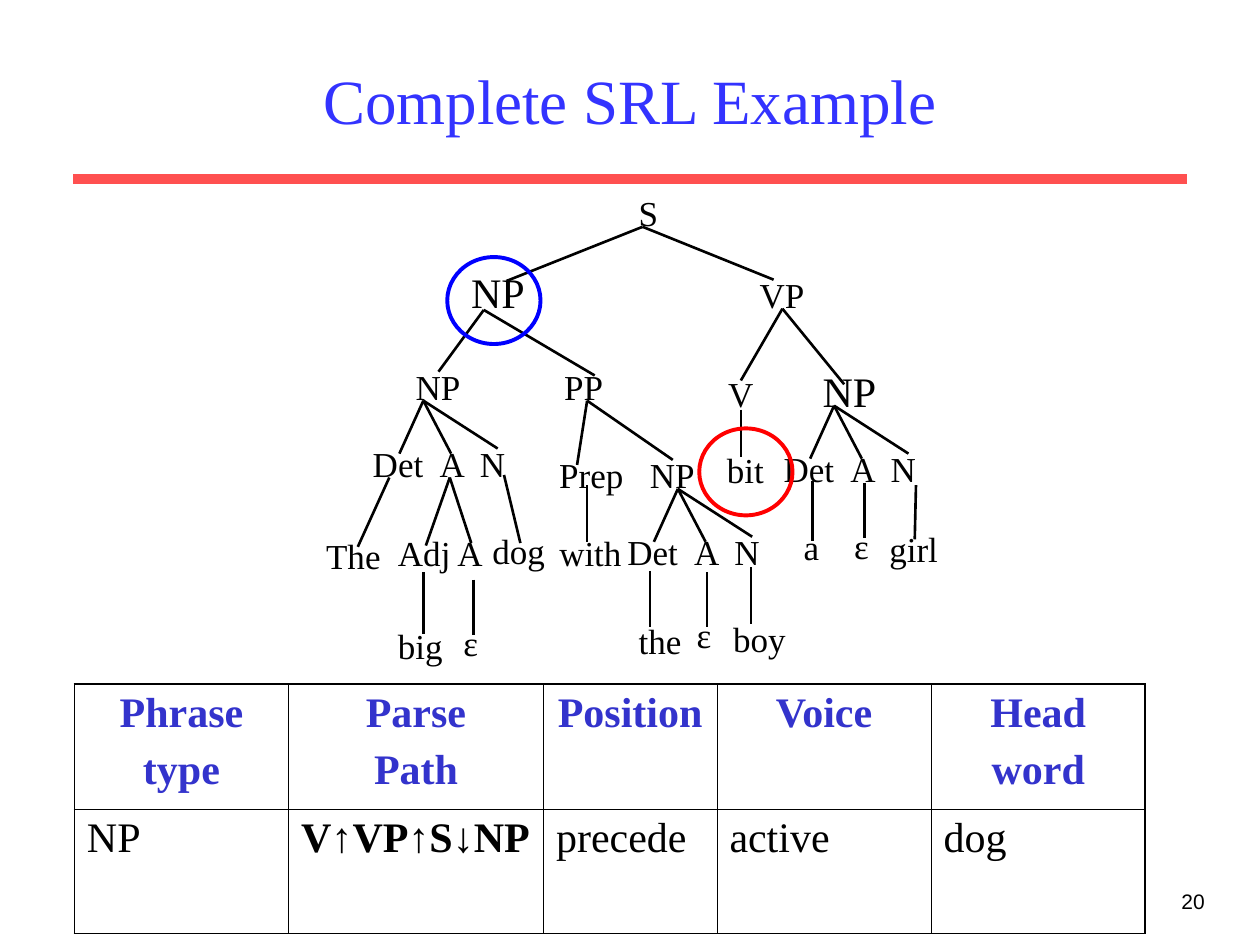
from collections import namedtuple
from lxml import etree
from pptx import Presentation
from pptx.dml.color import RGBColor
from pptx.enum.shapes import MSO_CONNECTOR, MSO_SHAPE
from pptx.enum.text import MSO_ANCHOR, PP_ALIGN
from pptx.oxml.ns import qn
from pptx.util import Emu, Inches, Pt

LINE, OVAL = MSO_CONNECTOR.STRAIGHT, MSO_SHAPE.OVAL
LEFT, MID, RIGHT = PP_ALIGN.LEFT, PP_ALIGN.CENTER, PP_ALIGN.RIGHT
CENTRE = MSO_ANCHOR.MIDDLE

Box = namedtuple("Box", "x y w h")
Theme = namedtuple("Theme", "serif sans ink title head rule red blue big large text small")
T = Theme("Times New Roman", "Arial", "000000", "3333FF", "3333CC", "FF5050",
          "FF0000", "0000FF", 36, 24, 20, 12)

COLS, ROWS = 100, 75
UNIT = Inches(10) // COLS

FAN = [(-1.9, 4.2), (2.2, 4.2), (5.9, 3.8)]
DET = ["Det", "A", "N"]
PHRASES = [
    ((31, 8), (-14.6, 2.7), 28.7, ["*NP", "VP"], [22.9], [(-10.8, 4.3), (10.4, 4.2)]),
    ((18.4, 14.6), (-6.4, 3.9), 17, ["NP", "PP"], [11.8], [(-3.6, 4.9), (8.8, 5.2)]),
    ((26.6, 21.8), (-3.2, 3.7), 12.7, ["Prep", "NP"], [7.2], [(-0.8, 5.1), (6.8, 4.7)]),
    ((42.1, 14.5), (-5.3, 4), 13.8, ["V", "*NP"], [7.5], [(-3.3, 5.7), (4.9, 6)]),
    ((15.7, 27.9), (-5.1, 3.8), 8.9, ["Adj A"], [], [(-1.9, 5.4), (1.7, 5.2)]),
]
FANS = [(13.6, 21.8), (46.2, 22.2), (33.8, 28.8)]
LEAVES = [
    ("The", (10.9, 27.9), (-6, 4), 6.3, (-2.5, 5.5)),
    ("with", (26.6, 28.5), (-3.2, 3.2), 6.9, (0, 4.5)),
    ("the", (31.6, 35.3), (-1.9, 3.4), 5.4, (0, 4.5)),
    ("bit", (38.8, 22.5), (-2.1, 2.6), 4.9, (0, 3.8)),
    ("a", (44.5, 28.2), (-1.7, 3), 3.2, (0, 4.7)),
    ("big", (13.6, 35.4), (-3, 3.7), 5.5, (0, 4.9)),
    ("dog", (20, 27.7), (-1.9, 3.8), 6.1, (1.3, 5.4)),
    ("girl", (52.7, 28.5), (-3.1, 2.9), 5.8, (-0.1, 4.3)),
    ("boy", (39.6, 35), (-2.4, 3.5), 6.1, (0, 4.5)),
]
EMPTY = [(48.6, 28.3), (17.6, 36), (36.1, 35.4)]
RINGS = [((35.5, 24), T.red), ((15.5, 10.4), T.blue)]
HEADS = [["Phrase", "type"], ["Parse", "Path"], ["Position"], ["Voice"], ["Head", "word"]]
VALUES = ["NP", "V↑VP↑S↓NP", "precede", "active", "dog"]
SHARES = [0.2, 0.238, 0.162, 0.2, 0.2]


def span(n):
    return Emu(round(n * UNIT))


def add_run(para, text, size, color=T.ink, font=T.serif, bold=False):
    run = para.add_run()
    run.text = text
    run.font.size, run.font.name, run.font.bold = Pt(size), font, bold
    run.font.color.rgb = RGBColor.from_string(color)


def add_line(slide, start, end, color, width):
    line = slide.shapes.add_connector(LINE, *map(span, (*start, *end)))
    line.line.color.rgb = RGBColor.from_string(color)
    line.line.width = Pt(width)
    etree.SubElement(line._element.spPr, qn("a:effectLst"))


def add_text(slide, box, align=LEFT):
    frame = slide.shapes.add_textbox(*map(span, box)).text_frame
    frame.word_wrap = True
    para = frame.paragraphs[0]
    para.alignment = align
    return frame, para


def add_label(slide, box, words, stops):
    frame, para = add_text(slide, box)
    frame.margin_right = 0
    if stops:
        tabs = etree.SubElement(para._p.get_or_add_pPr(), qn("a:tabLst"))
        for stop in stops:
            etree.SubElement(tabs, qn("a:tab"), pos=str(span(stop)), algn="l")
    for i, word in enumerate(words):
        size = T.large if word.startswith("*") else T.text
        add_run(para, "\t" * (i > 0) + word.lstrip("*"), size)


def add_branch(slide, box, apex, shift, width, words, stops, feet):
    x, y = box.x + apex[0], box.y + apex[1]
    high = 5 if any(w.startswith("*") for w in words) else 4.4
    add_label(slide, Box(x + shift[0], y + shift[1], width, high), words, stops)
    for dx, dy in feet:
        add_line(slide, (x, y), (x + dx, y + dy), T.ink, 1.5)


def add_tree(slide, box):
    add_branch(slide, box, (29.7, 4.7), (0, 0), 3.5, ["S"], [], [])
    for phrase in PHRASES:
        add_branch(slide, box, *phrase)
    for apex in FANS:
        add_branch(slide, box, apex, (-5, 2.8), 12.8, DET, [5.3, 8.5], FAN)
    for word, apex, shift, width, foot in LEAVES:
        add_branch(slide, box, apex, shift, width, [word], [], [foot])
    for apex in EMPTY:
        add_branch(slide, box, apex, (-1.8, 2.8), 3.1, ["ε"], [], [(0, 4.4)])
    for (x, y), color in RINGS:
        ring = slide.shapes.add_shape(
            OVAL, *map(span, (box.x + x, box.y + y, 7.4, 6.9)))
        ring.shadow.inherit = False
        ring.fill.background()
        ring.line.color.rgb = RGBColor.from_string(color)
        ring.line.width = Pt(2.25)


def add_edges(cell, outer):
    props = cell._tc.get_or_add_tcPr()
    for i, (side, out) in enumerate(zip(("lnL", "lnR", "lnT", "lnB"), outer)):
        width = Pt(1.08 if out else 0.45)
        edge = etree.Element(qn("a:" + side), w=str(width))
        fill = etree.SubElement(edge, qn("a:solidFill"))
        etree.SubElement(fill, qn("a:srgbClr"), val=T.ink)
        props.insert(i, edge)


def add_grid(slide, box):
    table = slide.shapes.add_table(2, len(HEADS), *map(span, box)).table
    table.first_row = table.horz_banding = False
    for col, share in zip(table.columns, SHARES):
        col.width = span(box.w * share)
    for r, row in enumerate((HEADS, [[v] for v in VALUES])):
        table.rows[r].height = span(box.h / 2)
        for c, lines in enumerate(row):
            cell = table.cell(r, c)
            cell.fill.background()
            add_edges(cell, (c == 0, c == len(HEADS) - 1, r == 0, r == 1))
            for i, text in enumerate(lines):
                frame = cell.text_frame
                para = frame.add_paragraph() if i else frame.paragraphs[0]
                para.alignment = LEFT if r else MID
                para.space_before = Pt(6)
                add_run(para, text, T.large, T.ink if r else T.head,
                        bold=r == 0 or c == 1)


def add_title(slide, box):
    title = slide.shapes.title
    title.left, title.top, title.width, title.height = map(span, box)
    frame = title.text_frame
    frame.vertical_anchor = CENTRE
    para = frame.paragraphs[0]
    para.alignment = MID
    add_run(para, "Complete SRL Example", T.big, T.title)


def add_number(slide, box):
    para = add_text(slide, box, RIGHT)[1]
    add_run(para, "20", T.small, font=T.sans)


def main():
    deck = Presentation()
    deck.slide_width, deck.slide_height = span(COLS), span(ROWS)
    slide = deck.slides.add_slide(deck.slide_layouts[5])
    add_line(slide, (5.8, 14.2), (94.2, 14.2), T.rule, 6)
    add_number(slide, Box(75.8, 70, 20.8, 5))
    add_title(slide, Box(7.5, 2.5, 85, 10.8))
    add_tree(slide, Box(20, 10, 60, 44))
    add_grid(slide, Box(5.9, 54.3, 85, 19.8))
    deck.save("out.pptx")


if __name__ == "__main__":
    main()
